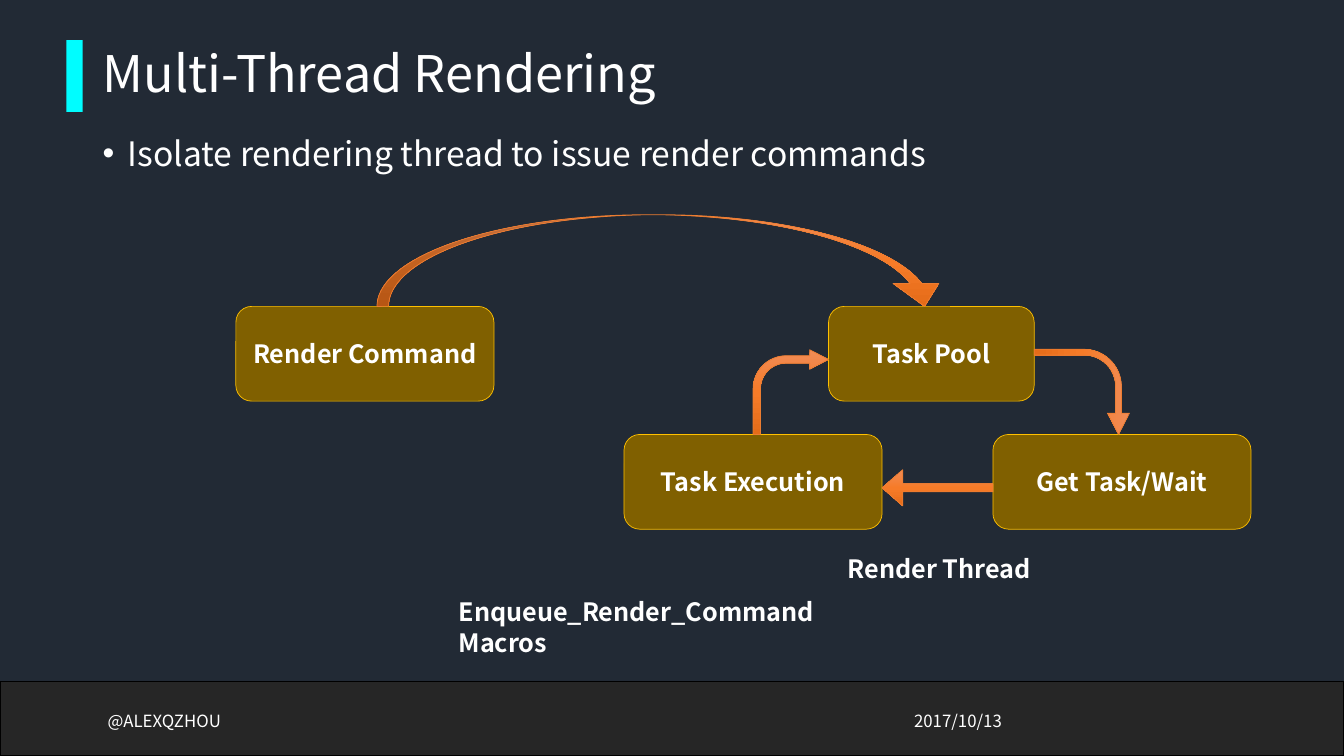
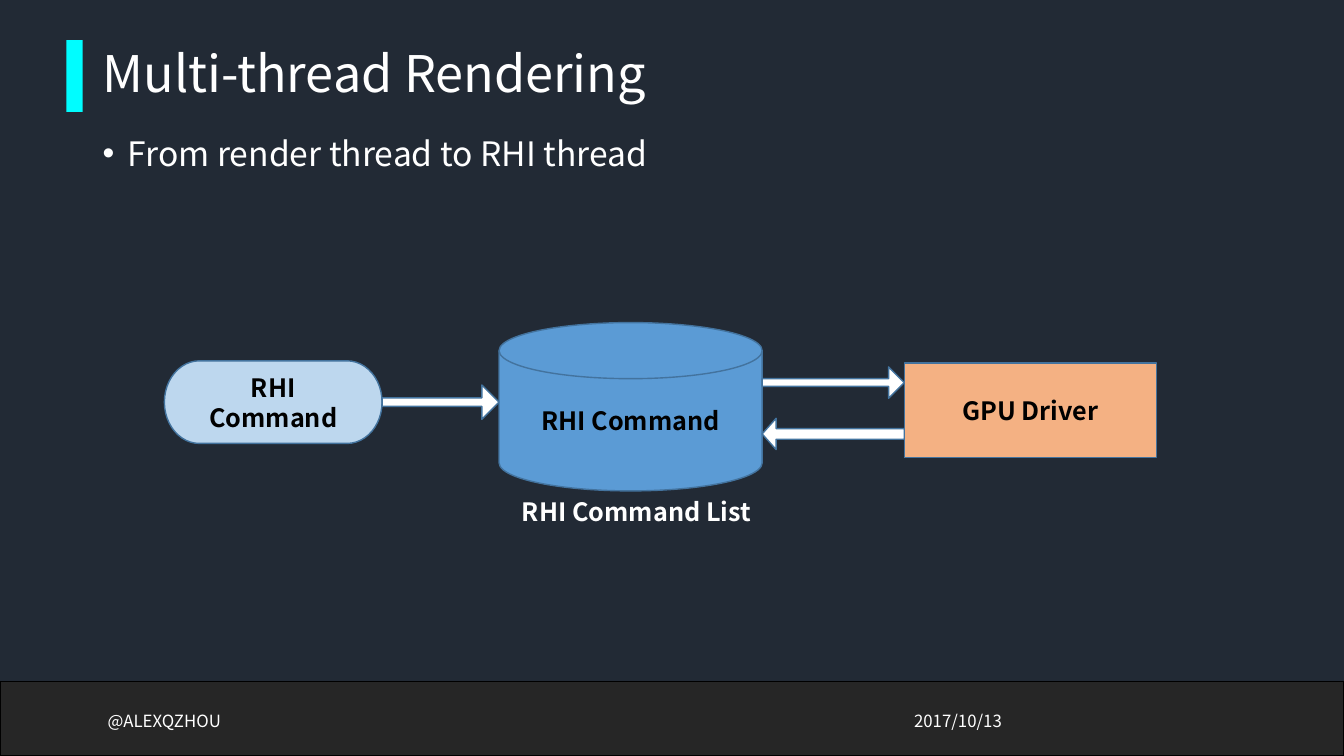
from dataclasses import dataclass
from copy import deepcopy

from lxml.etree import SubElement
from pptx import Presentation
from pptx.dml.color import RGBColor
from pptx.enum.shapes import MSO_SHAPE as Preset
from pptx.enum.text import MSO_ANCHOR as Anchor, PP_ALIGN as Align
from pptx.oxml.ns import qn
from pptx.util import Inches, Pt

SLIDE_W, SLIDE_H = Inches(13.33), Inches(7.5)
FONT = "Noto Sans CJK SC"
COLORS = {
    "background": "222A35", "band": "262626", "black": "000000",
    "accent": "00FDFF", "white": "FFFFFF",
    "task": "806000", "task_line": "FFC000", "flow_line": "ED7D31",
    "flow_light": "F18C57", "flow_mid": "F67B28", "flow_dark": "E56C19",
    "list": "5B9BD5", "command": "BDD7EE", "driver": "F4B183",
    "rhi_line": "43739E",
}
FLOW_GRADIENT = ("flow_light", "flow_mid", "flow_dark")


@dataclass(frozen=True)
class Box:
    """An area in percent of the slide's width (left, width) and height (top, height)."""
    left: float
    top: float
    width: float
    height: float

    @property
    def right(self) -> float:
        return self.left + self.width

    @property
    def bottom(self) -> float:
        return self.top + self.height

    @property
    def center(self) -> float:
        return self.left + self.width / 2

    def emu(self) -> tuple[int, int, int, int]:
        return (round(self.left * SLIDE_W / 100), round(self.top * SLIDE_H / 100),
                round(self.width * SLIDE_W / 100), round(self.height * SLIDE_H / 100))


def between(left: float, top: float, right: float, bottom: float) -> Box:
    return Box(left, top, right - left, bottom - top)


@dataclass(frozen=True)
class Node:
    label: str
    box: Box
    preset: Preset = Preset.ROUNDED_RECTANGLE
    fill: str = "task"
    line: str = "task_line"
    line_width: float = 0.5
    ink: str = "white"


@dataclass(frozen=True)
class Flow:
    preset: Preset
    box: Box
    adjust: tuple[float, ...]
    turned: bool = False


@dataclass(frozen=True)
class Caption:
    label: str
    box: Box


BAND = Box(0, 90.13, 100, 9.87)
ACCENT = Box(4.95, 5.33, 1.2, 9.47)
TITLE = Box(6.9, 5.33, 86.25, 9.47)
BODY = Box(6.9, 17.47, 86.25, 9.73)
HANDLE = Box(6.9, 92.67, 10.65, 5.33)
DATE = Box(67.28, 92.67, 22.5, 5.33)

# Thread loop
NODE_H = 12.53
UPPER, LOWER = 40.53, 57.47
RENDER_COMMAND = Node("Render Command", Box(17.55, UPPER, 19.2, NODE_H))
TASK_POOL = Node("Task Pool", Box(61.65, UPPER, 15.3, NODE_H))
EXECUTION = Node("Task Execution", Box(46.43, LOWER, 19.2, NODE_H))
GET_TASK = Node("Get Task/Wait", Box(73.88, LOWER, 19.2, NODE_H))
LOOP_NODES = (RENDER_COMMAND, TASK_POOL, EXECUTION, GET_TASK)
LOOP_FLOWS = (
    Flow(Preset.BENT_ARROW,
         between(EXECUTION.box.center, 46.27, TASK_POOL.box.left, LOWER),
         (0.098, 0.129, 0.25, 0.438)),
    Flow(Preset.BENT_ARROW,
         between(TASK_POOL.box.right, 46.2, 84.04, LOWER),
         (0.068, 0.129, 0.25, 0.438), turned=True),
    Flow(Preset.LEFT_ARROW,
         between(EXECUTION.box.right, 62.13, GET_TASK.box.left, 66.93),
         (0.217, 0.571)),
    Flow(Preset.CURVED_DOWN_ARROW, between(28.05, 28.4, 70.5, UPPER),
         (0.127, 0.5, 0.25)),
)
LOOP_CAPTIONS = (
    Caption("Enqueue_Render_Command Macros", Box(33.38, 78.27, 33.3, 5.33)),
    Caption("Render Thread", Box(62.33, 72.53, 23.18, 5.33)),
)

# Command list
RHI_STYLE = {"line": "rhi_line", "line_width": 1, "ink": "black"}
COMMAND_LIST = Node("RHI Command", Box(37.13, 42.67, 19.58, 22.27),
                    Preset.FLOWCHART_MAGNETIC_DISK, "list", **RHI_STYLE)
COMMAND = Node("RHI Command", Box(12.23, 47.73, 16.2, 10.93),
               Preset.FLOWCHART_TERMINATOR, "command", **RHI_STYLE)
DRIVER = Node("GPU Driver", Box(67.28, 48, 18.75, NODE_H),
              Preset.FLOWCHART_PROCESS, "driver", **RHI_STYLE)
RHI_NODES = (COMMAND_LIST, COMMAND, DRIVER)
RHI_FLOWS = (
    Flow(Preset.RIGHT_ARROW,
         between(COMMAND.box.right, 50.93, COMMAND_LIST.box.left, 55.47),
         (0.248, 0.5)),
    Flow(Preset.RIGHT_ARROW,
         between(COMMAND_LIST.box.right, 48.53, DRIVER.box.left, 52.67),
         (0.248, 0.5)),
    Flow(Preset.LEFT_ARROW,
         between(COMMAND_LIST.box.right, 55.33, DRIVER.box.left, 59.47),
         (0.34, 0.446)),
)
RHI_CAPTIONS = (
    Caption("RHI Command List", Box(38.1, COMMAND_LIST.box.bottom, 19.58, 5.33)),
)


def rgb(name: str) -> RGBColor:
    return RGBColor.from_string(COLORS[name])


def write(shape, text: str, *, size: float = 18, color: str = "white",
          bold: bool = False, align: Align = Align.LEFT,
          anchor: Anchor = Anchor.MIDDLE, spacing: float = 1,
          bullet: bool = False) -> None:
    frame = shape.text_frame
    frame.word_wrap = True
    frame.vertical_anchor = anchor
    paragraph = frame.paragraphs[0]
    paragraph.alignment = align
    paragraph.line_spacing = spacing
    run = paragraph.add_run()
    run.text = text
    run.font.name, run.font.size, run.font.bold = FONT, Pt(size), bold
    run.font.color.rgb = rgb(color)
    if bullet:
        paragraph.space_before = Pt(10)
        properties = paragraph._p.get_or_add_pPr()
        properties.set("marL", str(Inches(0.25)))
        properties.set("indent", str(-Inches(0.25)))
        SubElement(properties, qn("a:buFont")).set("typeface", "Arial")
        SubElement(properties, qn("a:buChar")).set("char", "•")


def add_text(slide, box: Box, text: str, **style) -> None:
    write(slide.shapes.add_textbox(*box.emu()), text, **style)


def add_figure(slide, preset: Preset, box: Box, fill: str,
               line: str | None = None, line_width: float = 1):
    shape = slide.shapes.add_shape(preset, *box.emu())
    shape.shadow.inherit = False
    shape.fill.solid()
    shape.fill.fore_color.rgb = rgb(fill)
    if line:
        shape.line.color.rgb = rgb(line)
        shape.line.width = Pt(line_width)
    else:
        shape.line.fill.background()
    return shape


def shade(shape, names: tuple[str, ...]) -> None:
    """Fill from top to bottom with evenly spaced colours."""
    shape.fill.gradient()
    shape.fill.gradient_angle = 270
    stops = shape._element.spPr.find(qn("a:gradFill")).find(qn("a:gsLst"))
    while len(stops) < len(names):
        stops.append(deepcopy(stops[0]))
    for index, (stop, name) in enumerate(zip(shape.fill.gradient_stops, names)):
        stop.position = index / (len(names) - 1)
        stop.color.rgb = rgb(name)


def turn_right(shape) -> None:
    """Rotate a quarter turn so that the shape still covers the same area."""
    width, height = shape.width, shape.height
    shape.left += (width - height) // 2
    shape.top += (height - width) // 2
    shape.width, shape.height = height, width
    shape.rotation = 90


def add_node(slide, node: Node) -> None:
    shape = add_figure(slide, node.preset, node.box, node.fill, node.line,
                       node.line_width)
    write(shape, node.label, color=node.ink, bold=True, align=Align.CENTER)


def add_flow(slide, flow: Flow, line: str, line_width: float,
             gradient: tuple[str, ...] = ()) -> None:
    shape = add_figure(slide, flow.preset, flow.box, "white", line, line_width)
    for index, value in enumerate(flow.adjust):
        shape.adjustments[index] = value
    if gradient:
        shade(shape, gradient)
    if flow.turned:
        turn_right(shape)


def add_base(deck, title: str, point: str):
    """Add a slide with the shared background, title, bullet and footer."""
    slide = deck.slides.add_slide(deck.slide_layouts[6])
    slide.background.fill.solid()
    slide.background.fill.fore_color.rgb = rgb("background")
    add_figure(slide, Preset.RECTANGLE, BAND, "band", "black")
    add_figure(slide, Preset.RECTANGLE, ACCENT, "accent")
    add_text(slide, TITLE, title, size=36, spacing=0.9)
    add_text(slide, BODY, point, size=24, spacing=0.9, anchor=Anchor.TOP,
             bullet=True)
    add_text(slide, DATE, "2017/10/13", size=12)
    add_text(slide, HANDLE, "@ALEXQZHOU", size=12, align=Align.CENTER)
    return slide


def add_diagram(slide, nodes: tuple[Node, ...], flows: tuple[Flow, ...],
                captions: tuple[Caption, ...], **flow_style) -> None:
    for node in nodes:
        add_node(slide, node)
    for flow in flows:
        add_flow(slide, flow, **flow_style)
    for caption in captions:
        add_text(slide, caption.box, caption.label, bold=True, anchor=Anchor.TOP)


def main() -> None:
    deck = Presentation()
    deck.slide_width, deck.slide_height = SLIDE_W, SLIDE_H
    loop = add_base(deck, "Multi-Thread Rendering",
                    "Isolate rendering thread to issue render commands")
    add_diagram(loop, LOOP_NODES, LOOP_FLOWS, LOOP_CAPTIONS,
                line="flow_line", line_width=0.5, gradient=FLOW_GRADIENT)
    rhi = add_base(deck, "Multi-thread Rendering",
                   "From render thread to RHI thread")
    add_diagram(rhi, RHI_NODES, RHI_FLOWS, RHI_CAPTIONS,
                line="rhi_line", line_width=1)
    deck.save("out.pptx")


if __name__ == "__main__":
    main()
